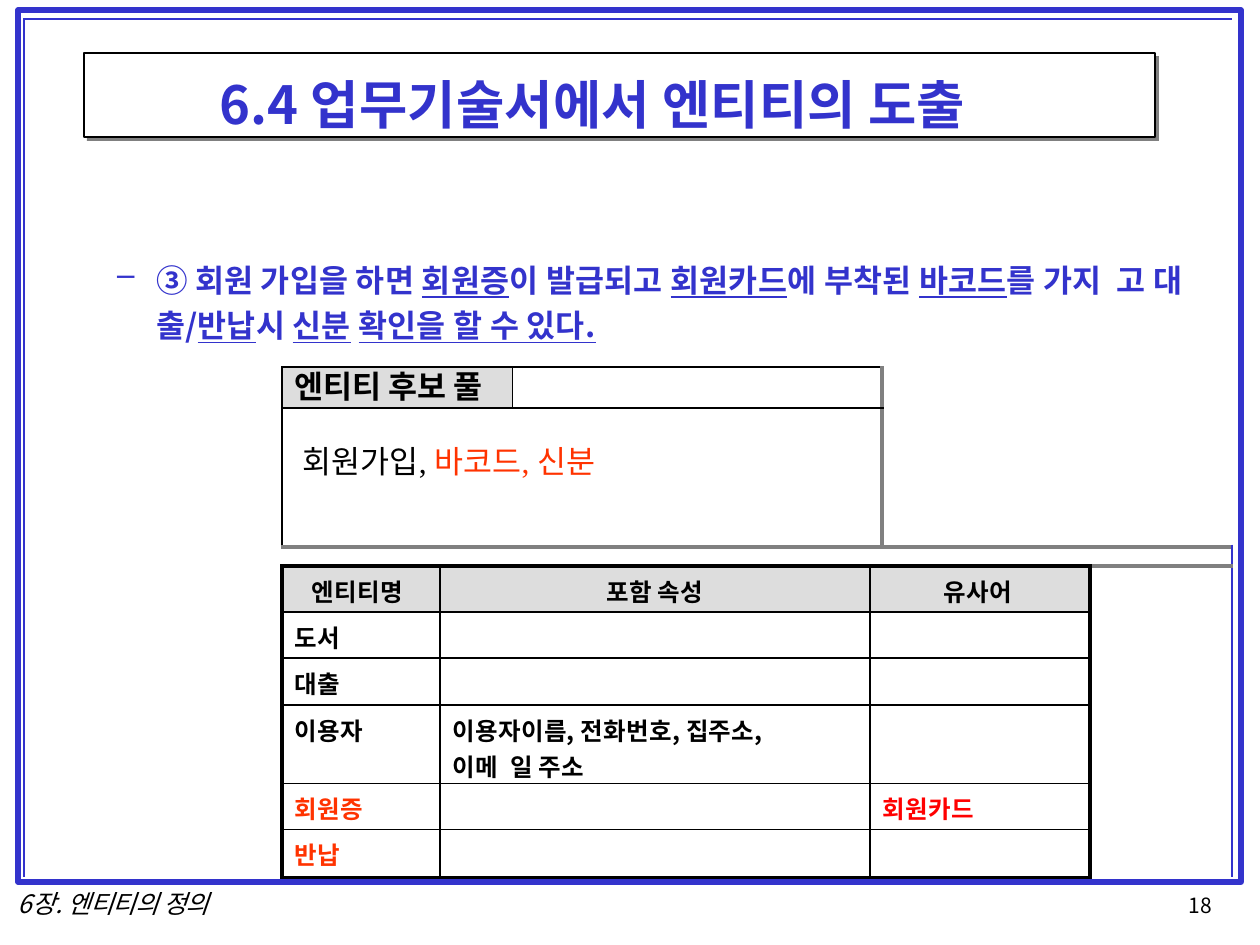
from dataclasses import dataclass
from typing import NamedTuple

from lxml import etree
from pptx import Presentation
from pptx.dml.color import RGBColor
from pptx.enum.text import MSO_ANCHOR, MSO_AUTO_SIZE, PP_ALIGN
from pptx.oxml.ns import qn
from pptx.util import Emu, Pt

PX = 914400 // 126
TOP = MSO_ANCHOR.TOP
NO_AUTOFIT = MSO_AUTO_SIZE.NONE
LEFT, CENTER = PP_ALIGN.LEFT, PP_ALIGN.CENTER
PLAIN_TABLE = "{2D5ABB26-0587-4C30-8999-92F81FD0307C}"


@dataclass(frozen=True)
class Theme:
    font: str = "Noto Sans CJK KR"
    comma_font: str = "Times New Roman"
    blue: str = "3333CC"
    black: str = "000000"
    gray: str = "808080"
    light: str = "DDDDDD"
    orange: str = "FF3300"
    red: str = "FF0000"
    title: float = 30
    body: float = 18
    table: float = 14
    footer: float = 14.5
    page: float = 12


class Box(NamedTuple):
    x: int
    y: int
    w: int
    h: int


class Edge(NamedTuple):
    color: str
    width: float


class Region(NamedTuple):
    """A merged block of cells with its outer edges, keyed L, R, T and B."""
    row: int
    col: int
    rows: int
    cols: int
    edges: dict[str, Edge]
    fill: str | None = None


class Entity(NamedTuple):
    name: str
    attributes: str = ""
    synonym: str = ""
    color: str = Theme.black


THEME = Theme()
BLUE, THIN = Edge(THEME.blue, 1), Edge(THEME.black, 0.75)
RULE, HEAVY = Edge(THEME.black, 1), Edge(THEME.black, 2.25)
SHADE = Edge(THEME.gray, 3)
COLUMNS = (258, 158, 73, 357, 12, 208, 142)
ROWS = (348, 41, 139, 19, 46, 46, 47, 78, 46, 48)
HEADER_ROW = 4
ENTITY_COLUMNS = ((1, 1), (2, 2), (4, 2))
HEADERS = (("엔티티명", 30), ("포함 속성", 0), ("유사어", 74))
ENTITIES = (
    Entity("도서"),
    Entity("대출"),
    Entity("이용자", "이용자이름, 전화번호, 집주소, 이메  일 주소"),
    Entity("회원증", synonym="회원카드", color=THEME.orange),
    Entity("반납", color=THEME.orange),
)
LAYOUT = (
    Region(0, 0, 1, 7, {"L": BLUE, "R": BLUE, "T": BLUE}),
    Region(1, 0, 2, 1, {"L": BLUE, "R": THIN}),
    Region(1, 1, 1, 2, dict.fromkeys("LRTB", THIN), THEME.light),
    Region(1, 3, 1, 2, {"L": THIN, "R": SHADE, "T": THIN, "B": THIN}),
    Region(1, 5, 2, 2, {"L": SHADE, "R": BLUE, "B": SHADE}),
    Region(2, 1, 1, 4, {"L": THIN, "R": SHADE, "T": THIN, "B": SHADE}),
    Region(3, 0, 1, 1, {"L": BLUE}),
    Region(3, 1, 1, 5, {"T": SHADE, "B": HEAVY}),
    Region(3, 6, 1, 1, {"R": BLUE, "T": SHADE}),
    Region(4, 0, 6, 1, {"L": BLUE, "R": HEAVY, "B": BLUE}),
    Region(4, 6, 6, 1, {"L": HEAVY, "R": BLUE, "B": BLUE}),
)
# Underscores mark the underlined entity candidates.
REQUIREMENT = ("③ 회원 가입을 하면 _회원증_이 발급되고 _회원카드_에 부착된 _바코드_를 "
               "가지  고 대출/_반납_시 _신분_ _확인을 할 수 있다.")


def px(length: int) -> Emu:
    return Emu(length * PX)


def rgb(color: str) -> RGBColor:
    return RGBColor.from_string(color)


def write(paragraph, text: str, *, size: float, color: str = THEME.black, bold=False,
          italic=False, underline=False, spacing: float = 0, latin: str = THEME.font) -> None:
    run = paragraph.add_run()
    run.text = text
    font = run.font
    font.size, font.bold, font.italic, font.underline = Pt(size), bold, italic, underline
    font.color.rgb = rgb(color)
    font.name = latin
    properties = run._r.get_or_add_rPr()
    properties.set("spc", str(round(spacing * 100)))
    east_asian = etree.Element(qn("a:ea"), typeface=THEME.font)
    properties.find(qn("a:latin")).addnext(east_asian)


def indent(paragraph, left: int, first: int = 0) -> None:
    paragraph.alignment = LEFT
    properties = paragraph._p.get_or_add_pPr()
    properties.set("marL", str(px(left)))
    properties.set("indent", str(px(first)))


def start_cell(cell, top: int, left: int):
    """Set the top inset and left indent, and return the first paragraph."""
    cell.margin_top = px(top)
    paragraph = cell.text_frame.paragraphs[0]
    indent(paragraph, left)
    return paragraph


def draw_outline(shapes, points: list[tuple[int, int]], fill: str | None = None,
                 line: Edge | None = None) -> None:
    builder = shapes.build_freeform(*points[0], scale=PX)
    builder.add_line_segments(points[1:])
    outline = builder.convert_to_shape()
    outline.shadow.inherit = False
    if fill:
        outline.fill.solid()
        outline.fill.fore_color.rgb = rgb(fill)
    else:
        outline.fill.background()
    if line:
        outline.line.color.rgb = rgb(line.color)
        outline.line.width = Pt(line.width)
    else:
        outline.line.fill.background()


def corners(box: Box) -> list[tuple[int, int]]:
    right, bottom = box.x + box.w, box.y + box.h
    return [(box.x, bottom), (right, bottom), (right, box.y), (box.x, box.y)]


def draw_title_frame(slide) -> None:
    box, depth = Box(84, 53, 1071, 84), 4
    right, bottom = box.x + box.w, box.y + box.h
    draw_outline(slide.shapes, corners(Box(box.x + 3, bottom, box.w, depth)), THEME.gray)
    frame = slide.shapes.add_group_shape()
    draw_outline(frame.shapes, [
        (right, box.y + 3), (right + depth, box.y + 3), (right + depth, bottom + depth),
        (box.x + 3, bottom + depth), (box.x + 3, bottom), (right, bottom)], THEME.gray)
    draw_outline(frame.shapes, corners(box), line=Edge(THEME.black, 0.72))


def set_borders(cell, edges: dict[str, Edge]) -> None:
    properties = cell._tc.get_or_add_tcPr()
    sides = [side for side in "LRTB" if side in edges]
    for index, side in enumerate(sides):
        edge = edges[side]
        line = etree.Element(qn(f"a:ln{side}"), w=str(Pt(edge.width)))
        fill = etree.SubElement(line, qn("a:solidFill"))
        etree.SubElement(fill, qn("a:srgbClr"), val=edge.color)
        properties.insert(index, line)


def format_region(table, region: Region) -> None:
    last_row, last_col = region.row + region.rows - 1, region.col + region.cols - 1
    for r in range(region.row, last_row + 1):
        for c in range(region.col, last_col + 1):
            cell = table.cell(r, c)
            cell.margin_left = cell.margin_right = cell.margin_top = cell.margin_bottom = 0
            cell.text_frame.paragraphs[0]._p.get_or_add_endParaRPr().set("sz", "400")
            if region.fill:
                cell.fill.solid()
                cell.fill.fore_color.rgb = rgb(region.fill)
            else:
                cell.fill.background()
            on_edge = {"L": c == region.col, "R": c == last_col,
                       "T": r == region.row, "B": r == last_row}
            set_borders(cell, {s: e for s, e in region.edges.items() if on_edge[s]})
    if region.rows * region.cols > 1:
        table.cell(region.row, region.col).merge(table.cell(last_row, last_col))


def entity_regions() -> list[Region]:
    last = len(ROWS) - 1
    return [
        Region(row, col, 1, span, {
            "L": HEAVY if col == 1 else RULE, "R": HEAVY if col == 4 else RULE,
            "T": HEAVY if row == HEADER_ROW else RULE, "B": HEAVY if row == last else RULE,
        }, THEME.light if row == HEADER_ROW else None)
        for row in range(HEADER_ROW, last + 1) for col, span in ENTITY_COLUMNS]


def write_requirement(cell) -> None:
    title = start_cell(cell, 45, 195)
    write(title, "6.4 업무기술서에서 엔티티의 도출", size=THEME.title, color=THEME.blue,
          bold=True, spacing=0.15)
    requirement = cell.text_frame.add_paragraph()
    indent(requirement, 132, -39)
    requirement.space_before = Pt(66)
    etree.SubElement(requirement._p.get_or_add_pPr(), qn("a:buChar"), char="–")
    for index, part in enumerate(REQUIREMENT.split("_")):
        write(requirement, part, size=THEME.body, color=THEME.blue, bold=True,
              underline=index % 2 == 1, spacing=0.15)


def write_pool(table) -> None:
    heading = start_cell(table.cell(1, 1), 6, 13)
    heading.line_spacing = Pt(19.7)
    write(heading, "엔티티 후보 풀", size=THEME.body, bold=True, spacing=-0.05)
    candidates = start_cell(table.cell(2, 1), 29, 21)
    for text, color, latin in (("회원가입", THEME.black, THEME.font),
                               (", ", THEME.black, THEME.comma_font),
                               ("바코드", THEME.orange, THEME.font),
                               (", ", THEME.orange, THEME.comma_font),
                               ("신분", THEME.orange, THEME.font)):
        write(candidates, text, size=THEME.body, color=color, latin=latin)


def write_entities(table) -> None:
    for (text, left), (col, _) in zip(HEADERS, ENTITY_COLUMNS):
        header = start_cell(table.cell(HEADER_ROW, col), 7, left)
        if not left:
            header.alignment = CENTER
        write(header, text, size=THEME.table, bold=True, spacing=0.1)
    for row, entity in enumerate(ENTITIES, HEADER_ROW + 1):
        colors = (entity.color, THEME.black, THEME.red)
        for text, color, (col, _) in zip(entity[:3], colors, ENTITY_COLUMNS):
            if text:
                cell = table.cell(row, col)
                cell.margin_right = px(60 if col == 2 else 0)
                write(start_cell(cell, 7, 13), text, size=THEME.table, color=color,
                      bold=True, spacing=0.1)


def draw_table(slide) -> None:
    box = Box(24, 19, sum(COLUMNS), sum(ROWS))
    table = slide.shapes.add_table(len(ROWS), len(COLUMNS), *map(px, box)).table
    table.first_row = table.horz_banding = False
    table._tbl.tblPr.find(qn("a:tableStyleId")).text = PLAIN_TABLE
    for column, width in zip(table.columns, COLUMNS):
        column.width = px(width)
    for row, height in zip(table.rows, ROWS):
        row.height = px(height)
    for region in (*LAYOUT, *entity_regions()):
        format_region(table, region)
    write_requirement(table.cell(0, 0))
    write_pool(table)
    write_entities(table)


def draw_footer(slide, box: Box, text: str, leading: float, left: int, **style) -> None:
    frame = slide.shapes.add_textbox(*map(px, box)).text_frame
    frame.auto_size = NO_AUTOFIT
    frame.word_wrap = True
    frame.vertical_anchor = TOP
    frame.margin_left = frame.margin_right = frame.margin_top = frame.margin_bottom = 0
    paragraph = frame.paragraphs[0]
    indent(paragraph, left)
    paragraph.line_spacing = Pt(leading)
    write(paragraph, text, **style)


def main() -> None:
    deck = Presentation()
    deck.slide_width, deck.slide_height = px(1260), px(945)
    slide = deck.slides.add_slide(deck.slide_layouts[6])
    draw_outline(slide.shapes, corners(Box(18, 10, 1223, 872)), line=Edge(THEME.blue, 3))
    draw_title_frame(slide)
    draw_table(slide)
    draw_footer(slide, Box(17, 890, 216, 29), "6장. 엔티티의 정의", 16.6, 1,
                size=THEME.footer, italic=True, spacing=-0.4)
    draw_footer(slide, Box(1184, 894, 37, 24), "18", 13.7, 5, size=THEME.page)
    deck.save("out.pptx")


if __name__ == "__main__":
    main()
